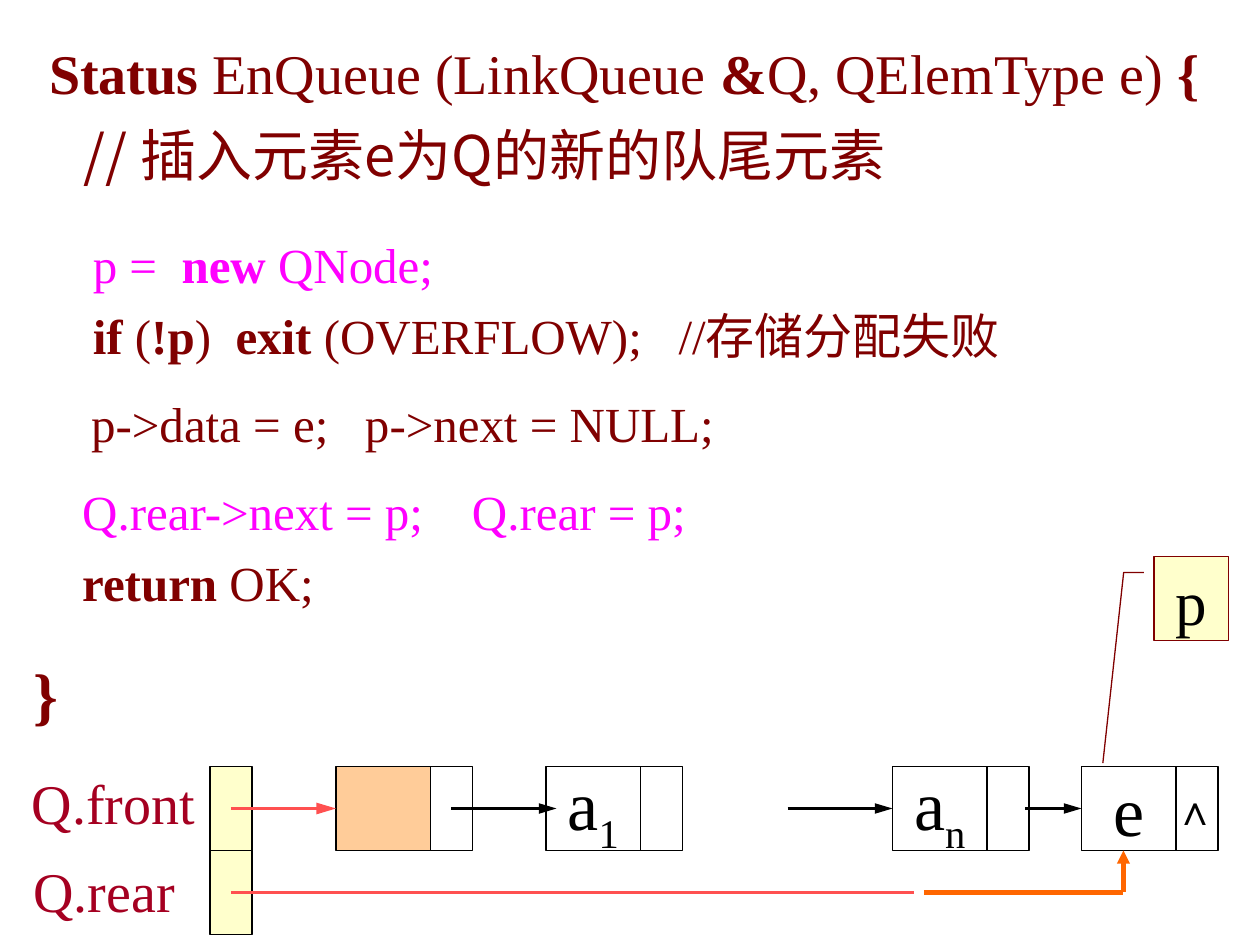
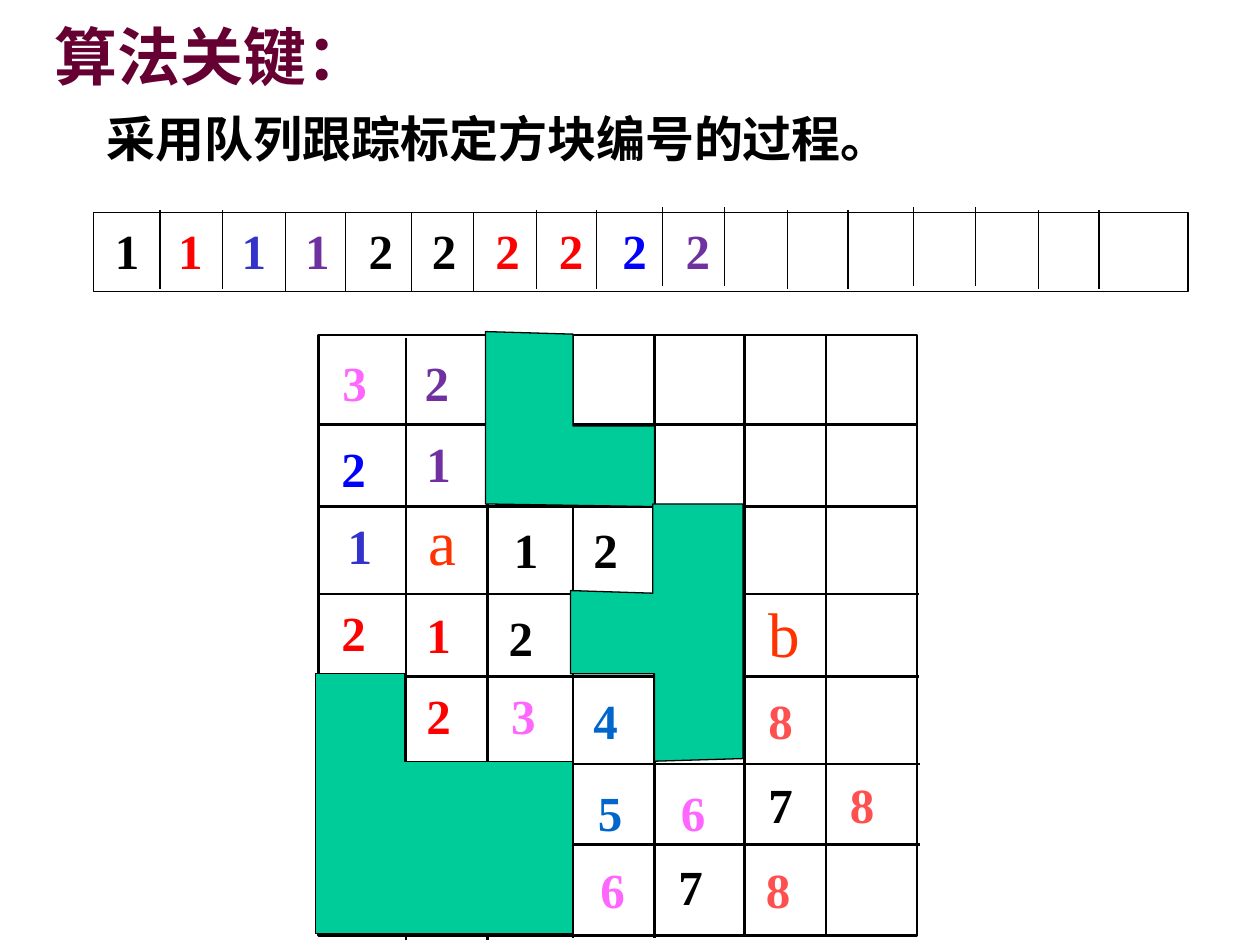
from dataclasses import dataclass

from lxml import etree
from pptx import Presentation
from pptx.dml.color import RGBColor
from pptx.enum.shapes import MSO_CONNECTOR, MSO_SHAPE
from pptx.enum.text import MSO_ANCHOR, MSO_AUTO_SIZE, PP_ALIGN
from pptx.oxml.ns import qn
from pptx.util import Pt

RECT, CALLOUT = MSO_SHAPE.RECTANGLE, MSO_SHAPE.LINE_CALLOUT_2
STRAIGHT = MSO_CONNECTOR.STRAIGHT
MIDDLE, TOP = MSO_ANCHOR.MIDDLE, MSO_ANCHOR.TOP
CENTER, JUSTIFY = PP_ALIGN.CENTER, PP_ALIGN.JUSTIFY
GROW = MSO_AUTO_SIZE.SHAPE_TO_FIT_TEXT


@dataclass(frozen=True)
class Theme:
    # Fonts
    serif: str = "Times New Roman"
    cjk: str = "Noto Sans CJK SC"
    # Type sizes
    node: int = 40
    large: int = 36
    heading: int = 32
    body: int = 28
    small: int = 24
    # Colours
    black: str = "000000"
    white: str = "FFFFFF"
    maroon: str = "800000"
    magenta: str = "FF00FF"
    label: str = "A50021"
    pointer: str = "FF5050"
    new_pointer: str = "FF6600"
    pointer_cell: str = "FFFFCC"
    head_cell: str = "FFCC99"
    title: str = "660033"
    obstacle: str = "00CC99"
    endpoint: str = "FF3300"
    red: str = "FF0000"
    indigo: str = "3333CC"
    purple: str = "7030A0"
    blue: str = "0000FF"
    pink: str = "FF66FF"
    azure: str = "0066CC"
    # Line widths
    thin: float = 0.75
    grid: float = 1.5
    link: float = 2
    pointer_line: float = 2.25
    new_line: float = 2.5


T = Theme()
BOLD = {"bold": True}


def pts(*lengths):
    return [Pt(length) for length in lengths]


def write_text(frame, lines, align=None, spacing=None, **run_format):
    """Each line is a string or a list of strings and (text, format) pairs."""
    for index, line in enumerate(lines):
        paragraph = frame.paragraphs[0] if index == 0 else frame.add_paragraph()
        paragraph.alignment = align
        paragraph.line_spacing = spacing
        for part in [line] if isinstance(line, str) else line:
            text, own = (part, {}) if isinstance(part, str) else part
            style = {"size": T.body, "color": T.black, "bold": False,
                     "font": T.serif, "baseline": 0, **run_format, **own}
            run = paragraph.add_run()
            run.text = text
            run.font.size = Pt(style["size"])
            run.font.bold = style["bold"]
            run.font.color.rgb = RGBColor.from_string(style["color"])
            run.font.name = style["font"]
            properties = run._r.get_or_add_rPr()
            etree.SubElement(properties, qn("a:ea")).set("typeface", T.cjk)
            if style["baseline"]:
                properties.set("baseline", str(style["baseline"]))


def add_text(slide, box, lines, wrap=True, **text_format):
    frame = slide.shapes.add_textbox(*pts(*box)).text_frame
    frame.word_wrap = wrap
    frame.auto_size = GROW
    write_text(frame, lines, **text_format)


def style_outline(shape, fill, line, width):
    shape.shadow.inherit = False
    if fill:
        shape.fill.solid()
        shape.fill.fore_color.rgb = RGBColor.from_string(fill)
    else:
        shape.fill.background()
    shape.line.color.rgb = RGBColor.from_string(line)
    shape.line.width = Pt(width)


def add_box(slide, box, fill=None, line=T.black, width=T.thin, kind=RECT,
            content=None, wrap=False, anchor=MIDDLE):
    shape = slide.shapes.add_shape(kind, *pts(*box))
    style_outline(shape, fill, line, width)
    if content:
        shape.text_frame.word_wrap = wrap
        shape.text_frame.vertical_anchor = anchor
        write_text(shape.text_frame, [content], align=CENTER, size=T.node)
    return shape


def add_line(slide, start, end, color=T.black, width=T.link, arrow=None):
    """The arrow, if any, is the length of its head: "med" or "lg"."""
    line = slide.shapes.add_connector(STRAIGHT, *pts(*start, *end))
    line.line.color.rgb = RGBColor.from_string(color)
    line.line.width = Pt(width)
    if arrow:
        tail = etree.SubElement(line.line._get_or_add_ln(), qn("a:tailEnd"))
        tail.set("type", "triangle")
        tail.set("len", arrow)
    etree.SubElement(line._element.spPr, qn("a:effectLst"))


def add_outline(slide, left, top, corners, fill):
    points = [tuple(pts(left + x, top + y)) for x, y in corners]
    builder = slide.shapes.build_freeform(*points[0], scale=1.0)
    builder.add_line_segments(points[1:], close=True)
    style_outline(builder.convert_to_shape(), fill, T.black, T.thin)


def add_enqueue_code(slide, left, top):
    # Signature and comment
    add_text(slide, (left, top, 702, 112), [
        [(" ", {"size": T.large, "color": T.black}), ("Status", BOLD),
         " EnQueue (LinkQueue ", ("&", BOLD), "Q, QElemType e) ", ("{", BOLD)],
        [("    // 插入元素e为Q的新的队尾元素", {"font": T.cjk})],
    ], size=T.heading, color=T.maroon, spacing=1.2)
    # New node
    add_text(slide, (left + 6, top + 118, 702, 180), [
        ["    ", ("p =  ", {"color": T.magenta}),
         ("new", {"color": T.magenta, **BOLD}), (" QNode;", {"color": T.magenta})],
        ["    ", ("if", BOLD), " (", ("!p", BOLD), ")  ", ("exit ", BOLD),
         "(OVERFLOW);   //存储分配失败"],
        [("   ", {"size": T.large}), "p->data = e;   p->next = NULL;"],
    ], color=T.maroon, spacing=1.2)
    # Linking at the rear
    add_text(slide, (left, top + 259, 507, 88), [
        [("    Q.rear->next = p;    Q.rear = p;", {"color": T.magenta})],
        ["    ", ("return", BOLD), " OK;"],
    ], color=T.maroon, spacing=1.2)
    add_text(slide, (left, top + 356.5, 60, 57), ["}"], size=T.large,
             color=T.maroon, bold=True, spacing=1.2)


def add_linked_queue(slide, left, top):
    side, data_width, height = 24, 54, 48
    link_y, rear_y = top + height / 2, top + height * 1.5
    pointer_x = left + side / 2

    # Front and rear pointers
    for row, (name, x, y, width, spacing) in enumerate(
            [("Q.front", -109, -6, 112, 1.1), ("Q.rear", -108, 48, 100, 1.0)]):
        add_box(slide, (left, top + row * height, side, height), T.pointer_cell)
        add_text(slide, (left + x, top + y, width, 46), [name], wrap=False,
                 size=T.heading, color=T.label, spacing=spacing)

    # Nodes: data cell, then link cell
    subscript = {"baseline": -25000}
    nodes = [(72, T.head_cell, None),
             (192, None, ["a", ("1", subscript)]),
             (390, None, ["a", ("n", subscript)]),
             (498, None, "e")]
    for x, fill, content in nodes:
        add_box(slide, (left + x + data_width, top, side, height))
        add_box(slide, (left + x, top, data_width, height), fill, content=content)
    add_text(slide, (left + 544, top + 6, 38, 36), ["∧"], wrap=False, size=T.small)

    # Links between nodes
    add_line(slide, (pointer_x, link_y), (left + 72, link_y), T.pointer,
             T.pointer_line, arrow="lg")
    for start, end in [(138, 198), (330, 390), (466, 498)]:
        add_line(slide, (left + start, link_y), (left + end, link_y), arrow="lg")

    # Rear pointer moved to the new node
    old_end, new_start, new_end = left + 402, left + 408, left + 522
    add_line(slide, (pointer_x, rear_y), (old_end, rear_y), T.pointer, T.pointer_line)
    add_line(slide, (new_start, rear_y), (new_end, rear_y), T.new_pointer, T.new_line)
    add_line(slide, (new_end, rear_y), (new_end, top + height), T.new_pointer,
             T.new_line, arrow="med")

    # Callout for p
    callout = add_box(slide, (left + 539.5, top - 120, 42.5, height),
                      T.pointer_cell, T.maroon, kind=CALLOUT, wrap=True, anchor=TOP,
                      content=[("p", {"size": T.large})])
    for index, value in enumerate([0.19, -0.14, 0.19, -0.41, 2.46, -0.69]):
        callout.adjustments[index] = value


def add_headings(slide, left, top):
    add_text(slide, (left, top, 344, 57), ["算法关键："], align=JUSTIFY,
             spacing=1.15, size=T.large, color=T.title, bold=True)
    add_text(slide, (left + 30, top + 62, 522, 37.5),
             ["采用队列跟踪标定方块编号的过程。"], align=JUSTIFY,
             spacing=0.9, bold=True)


def add_queue_strip(slide, left, top):
    height, group_width = 45, 143.5
    add_box(slide, (left, top, 625.5, height))
    # Dividers: four uneven steps in each group, lifted in pairs
    steps = [38, 73.5, 109.5, 144]
    lifts = [1.5, 0, 0, 1.5, 3, 1.5, 3, 1.5]
    for index in range(16):
        x = left + index // 4 * group_width + steps[index % 4]
        y = top - lifts[index // 2]
        add_line(slide, (x, y), (x, y + height), width=T.thin)
    # Queued numbers
    queued = [("1", T.black), ("1", T.red), ("1", T.indigo), ("1", T.purple),
              ("2", T.black), ("2", T.black), ("2", T.red), ("2", T.red),
              ("2", T.blue), ("2", T.purple)]
    for index, (number, color) in enumerate(queued):
        add_text(slide, (left + 5 + 36.25 * index, top + 1, 29, 41), [number],
                 wrap=False, color=color, bold=True)


def add_maze(slide, left, top):
    side = 342
    add_box(slide, (left, top, side, side + 1), T.white, width=T.grid)
    # Grid lines, each pair slightly shifted
    for index, y in enumerate([51, 98, 148, 195, 245, 291]):
        x = left + index // 2
        add_line(slide, (x, top + y), (x + side, top + y), width=T.grid)
    for index, x in enumerate([50, 96.5, 145.5, 192, 243.5, 290]):
        y = top + 1.5 - index // 2
        add_line(slide, (left + x, y), (left + x, y + 344), width=T.grid)

    # Blocked areas
    blocked = [
        [(95.5, -2), (95.5, 96.5), (192, 98), (192, 52), (145.5, 52), (145.5, -0.5)],
        [(-1.5, 193.5), (49.5, 193.5), (49.5, 243.5), (145.5, 243.5),
         (145.5, 342), (-1.5, 342)],
        [(144, 146), (144, 193.5), (192, 193.5), (192, 243.5), (242.5, 242),
         (242.5, 96.5), (191, 96.5), (191, 147.5)],
    ]
    for corners in blocked:
        add_outline(slide, left, top, corners, T.obstacle)

    # Start and end
    for name, x, y in [("a", 56, 92), ("b", 250, 144.5)]:
        add_text(slide, (left + x, top + y, 40, 50), [name],
                 size=T.large, color=T.endpoint)

    # Distance of each square, row by row
    distances = [
        ("3", T.pink, 6.5, 6.5), ("2", T.purple, 53.5, 6.5),
        ("2", T.blue, 6, 55.5), ("1", T.purple, 54.5, 52.5),
        ("1", T.indigo, 9.5, 99.5), ("1", T.black, 104.5, 102),
        ("2", T.black, 150, 102),
        ("2", T.red, 6, 149), ("1", T.red, 54.5, 150.5), ("2", T.black, 101.5, 152),
        ("2", T.red, 54.5, 196.5), ("3", T.pink, 103, 196.5),
        ("4", T.azure, 150, 199.5), ("8", T.pointer, 250, 199.5),
        ("5", T.azure, 152.5, 252), ("6", T.pink, 200, 252),
        ("7", T.black, 250, 247.5), ("8", T.pointer, 296.5, 247.5),
        ("6", T.pink, 154, 296), ("7", T.black, 198.5, 294.5),
        ("8", T.pointer, 248.5, 296),
    ]
    for number, color, x, y in distances:
        add_text(slide, (left + x, top + y, 40, 41), [number], color=color, bold=True)


def main():
    deck = Presentation()
    deck.slide_width, deck.slide_height = pts(720, 540)
    blank = deck.slide_layouts[6]

    enqueue = deck.slides.add_slide(blank)
    add_enqueue_code(enqueue, 12, 6)
    add_linked_queue(enqueue, 120, 438)

    shortest_route = deck.slides.add_slide(blank)
    add_headings(shortest_route, 24, 0)
    add_maze(shortest_route, 182, 191.5)
    add_queue_strip(shortest_route, 53.5, 121.5)

    deck.save("out.pptx")


if __name__ == "__main__":
    main()
